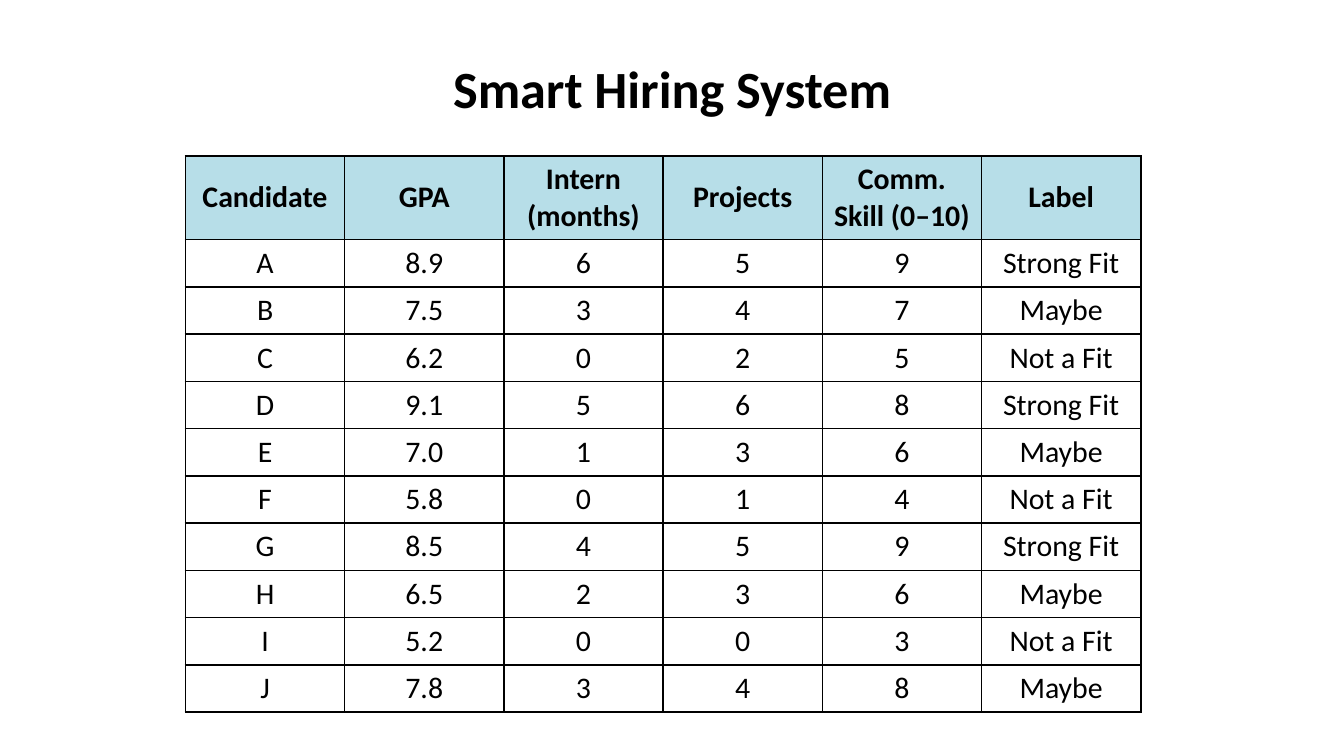
import pptx
import pptx.dml.color
import pptx.enum.text
import pptx.oxml
import pptx.oxml.ns
import pptx.util
from pptx.util import Inches

# Content
TITLE = "Smart Hiring System"
HEADER = ("Candidate", "GPA", "Intern (months)", "Projects", "Comm. Skill (0–10)", "Label")
CANDIDATES = [
    ("A", "8.9", "6", "5", "9", "Strong Fit"),
    ("B", "7.5", "3", "4", "7", "Maybe"),
    ("C", "6.2", "0", "2", "5", "Not a Fit"),
    ("D", "9.1", "5", "6", "8", "Strong Fit"),
    ("E", "7.0", "1", "3", "6", "Maybe"),
    ("F", "5.8", "0", "1", "4", "Not a Fit"),
    ("G", "8.5", "4", "5", "9", "Strong Fit"),
    ("H", "6.5", "2", "3", "6", "Maybe"),
    ("I", "5.2", "0", "0", "3", "Not a Fit"),
    ("J", "7.8", "3", "4", "8", "Maybe"),
]

# Look
COLORS = {"text": "000000", "border": "000000", "header": "B7DEE8"}
TITLE_FONT = {"name": "Calibri", "size": pptx.util.Pt(28), "bold": True}
HEADER_FONT = {"name": "Calibri", "size": pptx.util.Pt(16), "bold": True}
BODY_FONT = {**HEADER_FONT, "bold": False}
CELL_FORMAT = {
    "vertical_anchor": pptx.enum.text.MSO_ANCHOR.MIDDLE,
    "margin_left": Inches(0.08), "margin_right": Inches(0.08),
    "margin_top": Inches(0.04), "margin_bottom": Inches(0.04),
}
PAGE_WIDTH = 10
PAGE_HEIGHT = PAGE_WIDTH * 9 / 16
TABLE_LEFT, TABLE_TOP, TABLE_WIDTH = 1.38, 1.16, 7.11
HEADER_HEIGHT, ROW_HEIGHT = 0.55, 0.32


def set_all(target, values):
    for name, value in values.items():
        setattr(target, name, value)


def write(frame, text, font):
    para = frame.paragraphs[0]
    para.alignment = pptx.enum.text.PP_ALIGN.CENTER
    span = para.add_run()
    span.text = text
    set_all(span.font, font)
    span.font.color.rgb = pptx.dml.color.RGBColor.from_string(COLORS["text"])


def add_borders(cell):
    properties = cell._tc.get_or_add_tcPr()
    for position, side in enumerate(("lnL", "lnR", "lnT", "lnB")):
        properties.insert(position, pptx.oxml.parse_xml(
            f'<a:{side} {pptx.oxml.ns.nsdecls("a")} w="{pptx.util.Pt(1)}">'
            f'<a:solidFill><a:srgbClr val="{COLORS["border"]}"/></a:solidFill></a:{side}>'))


def add_title(page):
    box = page.shapes.add_textbox(0, Inches(0.37), Inches(PAGE_WIDTH), Inches(0.57))
    box.text_frame.word_wrap = True
    box.text_frame.auto_size = pptx.enum.text.MSO_AUTO_SIZE.SHAPE_TO_FIT_TEXT
    write(box.text_frame, TITLE, TITLE_FONT)


def add_candidates(page):
    rows = [HEADER, *CANDIDATES]
    heights = [HEADER_HEIGHT] + [ROW_HEIGHT] * len(CANDIDATES)
    table = page.shapes.add_table(
        len(rows), len(HEADER), Inches(TABLE_LEFT), Inches(TABLE_TOP),
        Inches(TABLE_WIDTH), Inches(sum(heights))).table
    set_all(table, {"first_row": False, "horz_banding": False})
    for column in table.columns:
        column.width = Inches(TABLE_WIDTH / len(HEADER))
    for index, (texts, height) in enumerate(zip(rows, heights)):
        table.rows[index].height = Inches(height)
        for cell, text in zip(table.rows[index].cells, texts):
            set_all(cell, CELL_FORMAT)
            write(cell.text_frame, text, BODY_FONT if index else HEADER_FONT)
            if index:
                cell.fill.background()
            else:
                cell.fill.solid()
                cell.fill.fore_color.rgb = pptx.dml.color.RGBColor.from_string(COLORS["header"])
            add_borders(cell)


def main():
    deck = pptx.Presentation()
    deck.slide_width, deck.slide_height = Inches(PAGE_WIDTH), Inches(PAGE_HEIGHT)
    page = deck.slides.add_slide(deck.slide_layouts[6])
    add_candidates(page)
    add_title(page)
    deck.save("out.pptx")


if __name__ == "__main__":
    main()
